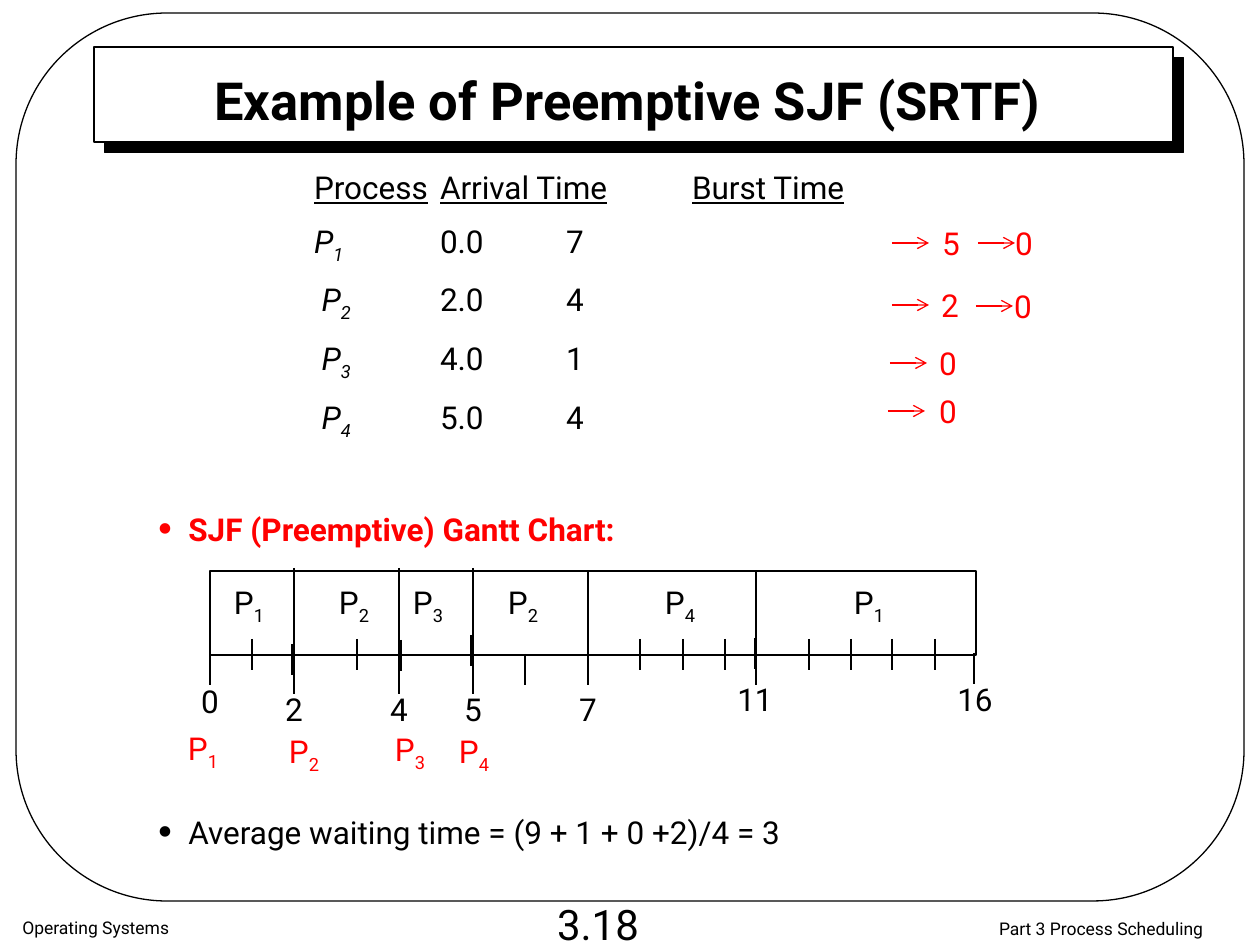
from dataclasses import dataclass
from lxml import etree
from pptx import Presentation
from pptx.dml.color import RGBColor
from pptx.enum.shapes import MSO_CONNECTOR, MSO_SHAPE
from pptx.enum.text import MSO_ANCHOR, PP_ALIGN
from pptx.oxml.ns import qn
from pptx.util import Emu, Pt

LINE = MSO_CONNECTOR.STRAIGHT
RECT, ROUND = MSO_SHAPE.RECTANGLE, MSO_SHAPE.ROUNDED_RECTANGLE
TOP, MID = MSO_ANCHOR.TOP, MSO_ANCHOR.MIDDLE
LEFT, MIDST = PP_ALIGN.LEFT, PP_ALIGN.CENTER
SCALE = 914400 / 126


@dataclass(frozen=True)
class Theme:
    font: str = "Roboto"
    dot: str = "Times New Roman"
    ink: str = "000000"
    red: str = "FF0000"
    paper: str = "FFFFFF"
    title: int = 30
    page: int = 24
    body: int = 18
    foot: int = 10
    rule: float = 0.75


T = Theme()

TITLE = "Example of Preemptive SJF (SRTF)"
HEADS = ("Process", "Arrival Time", "Burst Time")
JOBS = [("", "1", "0.0", "7"), (" ", "2", "2.0", "4"),
        (" ", "3", "4.0", "1"), (" ", "4", "5.0", "4")]
STOPS = (126, 252, 378)
POINTS = [("SJF (Preemptive) Gantt Chart:", "b", T.red, 529),
          ("Average waiting time = (9 + 1 + 0 +2)/4 = 3", "", T.ink, 832)]
BARS = [("1", 249), ("2", 354), ("3", 428), ("2", 523), ("4", 680), ("1", 869)]
TIMES = [("0", 210, 701), ("2", 294, 709), ("4", 399, 709), ("5", 473, 709),
         ("7", 588, 709), ("11", 755, 699), ("16", 975, 699)]
COMES = [("1", 203, 751), ("2", 304, 754), ("3", 410, 752), ("4", 474, 754)]
LEFTS = [(892, 243, "5", 951), (978, 243, "0", 1024),
         (892, 305, "2", 950), (976, 306, "0", 1023),
         (890, 363, "0", 948), (888, 411, "0", 948)]
TICKS = [(568, 694, (294, 399, 473)), (571, 685, (588, 756)),
         (654, 685, (210, 525)), (653, 684, (974,)),
         (639, 670, (252, 357, 640, 683, 725, 809, 851, 892, 935)),
         (644, 675, (292,)), (640, 671, (401,)), (635, 666, (471,)),
         (638, 669, (588, 755))]


def px(n):
    return Emu(round(n * SCALE))


def rgb(hue):
    return RGBColor.from_string(hue)


def add(node, tag, **attrs):
    return etree.SubElement(node, qn(tag), attrs)


def box(kind, x, y, w, h, fill=None):
    shape = slide.shapes.add_shape(kind, px(x), px(y), px(w), px(h))
    shape.shadow.inherit = False
    if fill:
        shape.fill.solid()
        shape.fill.fore_color.rgb = rgb(fill)
    else:
        shape.fill.background()
    shape.line.color.rgb = rgb(T.ink)
    shape.line.width = Pt(T.rule)
    return shape


def line(x1, y1, x2, y2, hue=T.ink, head=False):
    link = slide.shapes.add_connector(LINE, px(x1), px(y1), px(x2), px(y2))
    link.line.color.rgb = rgb(hue)
    link.line.width = Pt(T.rule)
    if head:
        add(link._element.spPr.find(qn("a:ln")), "a:tailEnd", type="arrow")
    add(link._element.spPr, "a:effectLst")


def text(x, y, w, h, paras, size=T.body, hue=T.ink, align=LEFT,
         anchor=MID, wrap=True):
    frame = slide.shapes.add_textbox(px(x), px(y), px(w), px(h)).text_frame
    frame.word_wrap = wrap
    frame.vertical_anchor = anchor
    for k, runs in enumerate(paras):
        para = frame.add_paragraph() if k else frame.paragraphs[0]
        para.alignment = align
        if k:
            gap = add(para._p.get_or_add_pPr(), "a:spcBef")
            add(gap, "a:spcPct", val="50000")
        for words, flags in runs:
            run = para.add_run()
            run.text = words
            font = run.font
            font.name, font.size = T.font, Pt(size)
            font.color.rgb = rgb(hue)
            font.bold, font.italic = "b" in flags, "i" in flags
            font.underline = "u" in flags
            if "s" in flags:
                run._r.get_or_add_rPr().set("baseline", "-25000")
    return frame


def label(x, y, runs, hue=T.ink, size=T.body, w=72, h=50):
    text(x - w / 2, y - h / 2, w, h, [runs], size, hue, MIDST, wrap=False)


def proc(num):
    return [("P", ""), (num, "s")]


deck = Presentation()
deck.slide_width, deck.slide_height = px(1260), px(945)
slide = deck.slides.add_slide(deck.slide_layouts[6])

banner = box(RECT, 94, 47, 1079, 95, T.paper)
glow = add(banner._element.spPr.find(qn("a:effectLst")), "a:outerShdw",
           dist=str(Pt(8.5)), dir="2700000", algn="ctr", rotWithShape="0")
add(glow, "a:srgbClr", val=T.ink)
box(ROUND, 16, 13, 1228, 888).adjustments[0] = 0.17
text(111, 68, 1033, 63, [[(TITLE, "b")]], T.title, align=MIDST)

rows = [[(HEADS[0], "u"), ("\t", ""), (HEADS[1], "u"), ("\t", ""), (HEADS[2], "u")]]
for pad, num, start, burst in JOBS:
    rows.append([(pad + "P", "i"), (num, "is"), (f"\t{start}\t{burst}", "")])
grid = text(314, 162, 560, 290, rows, anchor=TOP)
grid.margin_left = grid.margin_right = 0
for para in grid.paragraphs:
    tabs = add(para._p.get_or_add_pPr(), "a:tabLst")
    for stop in STOPS:
        add(tabs, "a:tab", pos=str(px(stop)), algn="l")

for words, flags, hue, y in POINTS:
    frame = text(145, y - 25, 969, 50, [[(words, flags)]], hue=hue)
    props = frame.paragraphs[0]._p.get_or_add_pPr()
    props.set("marL", str(px(31)))
    props.set("indent", str(px(-31)))
    add(props, "a:buSzPct", val="140000")
    add(props, "a:buFont", typeface=T.dot)
    add(props, "a:buChar", char="•")

box(RECT, 210, 571, 766, 84, T.paper)
for top, low, spots in TICKS:
    for x in spots:
        line(x, top, x, low)
for num, x in BARS:
    label(x, 605, proc(num))
for time, x, y in TIMES:
    label(x, y, [(time, "")])
for num, x, y in COMES:
    label(x, y, proc(num), T.red)
for x, y, left, spot in LEFTS:
    line(x, y, x + 37, y, T.red, True)
    label(spot, y, [(left, "")], T.red)

text(10, 908, 486, 40, [[("Operating Systems", "")]], T.foot)
label(598, 924, [("3.18", "")], size=T.page, w=125, h=63)
label(1101, 929, [("Part 3 Process Scheduling", "")], size=T.foot, w=250, h=40)

deck.save("out.pptx")
